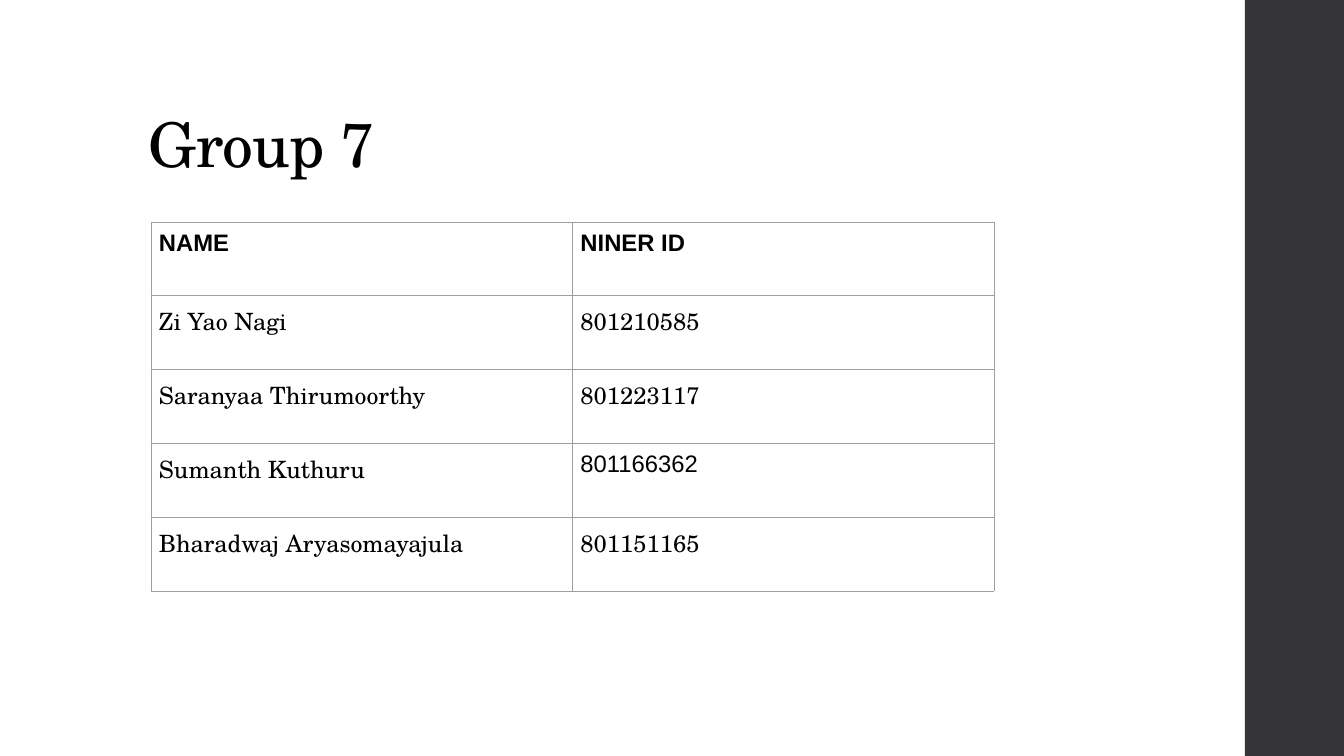
from lxml import etree
from pptx import Presentation
from pptx import util as u
from pptx.dml.color import RGBColor
from pptx.enum import shapes, text
from pptx.oxml.ns import qn

TITLE = "Group 7"
MEMBERS = [
    ("NAME", "NINER ID"),
    ("Zi Yao Nagi", "801210585"),
    ("Saranyaa Thirumoorthy", "801223117"),
    ("Sumanth Kuthuru", "801166362"),
    ("Bharadwaj Aryasomayajula", "801151165"),
]
SANS_CELLS = {(0, 0), (0, 1), (3, 1)}

SERIF, SANS = "TeX Gyre Schola", "Arial"
BLACK = RGBColor(0x00, 0x00, 0x00)
CHARCOAL = RGBColor(0x35, 0x35, 0x37)
GRID_GREY = RGBColor(0x9E, 0x9E, 0x9E)

SLIDE_W, SLIDE_H = 1344, 756
BAND_LEFT = 1245
TITLE_BOX = (139, 40, 1068, 146)
TABLE_BOX = (151, 222, 843, 369)
CELL_MARGIN = 8


def px(length):
    """Turn pixels into EMU, at 100.8 pixels to the inch."""
    return u.Emu(round(length * 914400 / 100.8))


def style(paragraph, size, face, bold=False):
    font = paragraph.font
    font.size, font.name, font.bold = u.Pt(size), face, bold
    font.color.rgb = BLACK


def add_borders(cell):
    properties = cell._tc.get_or_add_tcPr()
    for position, side in enumerate(("lnL", "lnR", "lnT", "lnB")):
        line = etree.Element(qn(f"a:{side}"), w=str(u.Pt(0.6)))
        fill = etree.SubElement(line, qn("a:solidFill"))
        etree.SubElement(fill, qn("a:srgbClr"), val=str(GRID_GREY))
        properties.insert(position, line)


def add_band(slide):
    band = slide.shapes.add_shape(
        shapes.MSO_SHAPE.RECTANGLE,
        px(BAND_LEFT), 0, px(SLIDE_W - BAND_LEFT), px(SLIDE_H))
    band.shadow.inherit = False
    band.fill.solid()
    band.fill.fore_color.rgb = CHARCOAL
    band.line.fill.background()


def add_title(slide):
    frame = slide.shapes.add_textbox(*map(px, TITLE_BOX)).text_frame
    frame.word_wrap = True
    frame.vertical_anchor = text.MSO_ANCHOR.BOTTOM
    heading = frame.paragraphs[0]
    heading.line_spacing = 0.9
    run = heading.add_run()
    run.text = TITLE
    style(heading, 44, SERIF)
    run.font._element.set("spc", "-50")


def add_members(slide):
    left, top, width, height = map(px, TABLE_BOX)
    members = slide.shapes.add_table(
        len(MEMBERS), len(MEMBERS[0]), left, top, width, height).table
    members.first_row = members.horz_banding = False
    for r, row in enumerate(MEMBERS):
        for c, value in enumerate(row):
            cell = members.cell(r, c)
            cell.text = value
            cell.fill.background()
            cell.margin_left = cell.margin_right = px(CELL_MARGIN)
            cell.margin_top = cell.margin_bottom = px(CELL_MARGIN)
            face = SANS if (r, c) in SANS_CELLS else SERIF
            style(cell.text_frame.paragraphs[0], 17, face, bold=r == 0)
            add_borders(cell)


def main():
    deck = Presentation()
    deck.slide_width, deck.slide_height = px(SLIDE_W), px(SLIDE_H)
    slide = deck.slides.add_slide(deck.slide_layouts[6])
    add_band(slide)
    add_members(slide)
    add_title(slide)
    deck.save("out.pptx")


if __name__ == "__main__":
    main()
